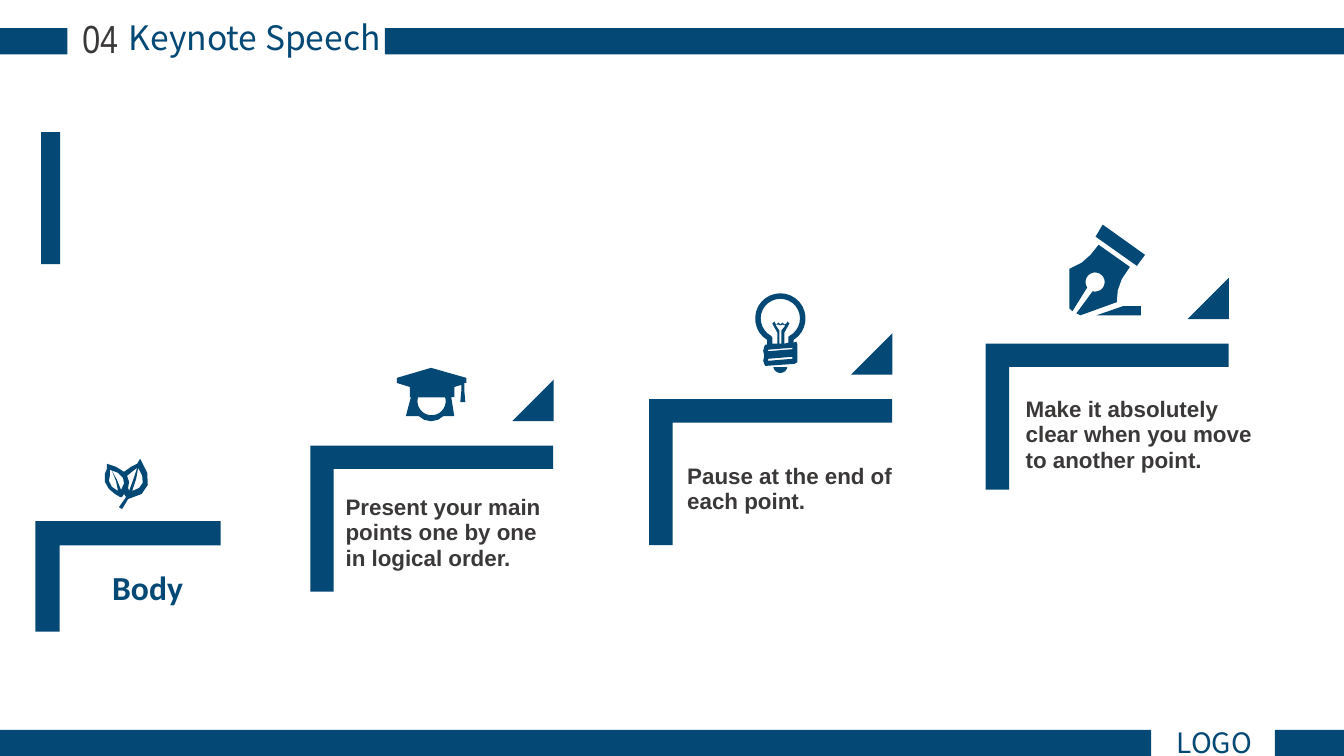
from math import cos, radians, sin

from pptx import Presentation
from pptx.dml.color import RGBColor
from pptx.enum.shapes import MSO_SHAPE
from pptx.enum.text import MSO_AUTO_SIZE, PP_ALIGN
from pptx.util import Cm, Pt

COLORS = {"navy": "044875", "gray": "3B3838", "white": "FFFFFF"}
SLIDE_W, SLIDE_H = 33.87, 19.05
BAR_H = 0.66
SANS = "Noto Sans CJK SC"
UNIT = Cm(2.54) / 1000


def arc(cx, cy, r, start, end, steps=24):
    """Return points along a circle between two angles in degrees."""
    angles = [radians(start + (end - start) * i / steps) for i in range(steps + 1)]
    return [(cx + r * cos(a), cy + r * sin(a)) for a in angles]


LEAF = [
    [(22, 38), (20, 35), (18, 38), (16, 38), (11, 35), (5, 30), (1, 23), (1, 15),
     (3, 10), (3, 5), (12, 8), (20, 13), (27, 8), (33, 5), (36, 0), (43, 14),
     (43.5, 26), (37.4, 35), (24, 40), (18, 50), (15, 48)],
    [(24, 29), (25, 32), (29, 21), (33, 9), (29, 12), (23, 17), (25, 23)],
    [(14, 32), (12, 22), (8, 12), (13, 21), (17, 31), (20, 24.5), (19, 19),
     (14, 14), (6, 11), (6, 16), (5, 22), (8, 28)],
    [(28, 32), (35, 29), (38.5, 24), (38, 17), (34, 9), (32, 20)],
]
GRADUATE = [
    [(14, 29), (9, 48), (22, 48), (27, 51.5), (34, 53), (41, 51.5), (46, 48), (57, 48),
     (54, 29), (57, 29), (57, 19), (64, 17), (64, 23), (63, 34), (68, 34), (67, 23),
     (67, 15), (69, 15), (69, 10), (34, 0), (0, 10), (0, 15), (13, 19), (13, 29)],
    arc(34.5, 33, 14, -15, 195),
]
BULB = [
    arc(25, 25, 25, 122, 418)
    + [(38, 49), (41, 48), (42, 51), (42, 68), (41, 69), (39, 70), (11, 72), (10, 72),
       (9, 70), (8, 67), (9, 62), (8, 57), (9, 53), (10, 51), (12, 51)],
    [(20, 30), (21, 31), (23, 29), (25, 31), (27, 29), (29, 31), (31, 30), (32, 28),
     (34, 30), (29, 39), (29, 50), (33, 49), (33, 43)]
    + arc(25, 25, 19.5, 62, -242)
    + [(17, 44), (17, 50), (22, 50), (22, 39), (17, 30), (19, 28)],
    [(30, 32), (27, 31), (25, 32), (23, 31), (20, 31), (24, 37), (24, 50), (26, 50),
     (26, 37)],
    arc(25, 72, 7, 170, 10),
    [(37, 63), (13, 65), (13, 67), (37, 65)],
    [(37, 54), (13, 56), (13, 57.5), (37, 55.5)],
]
PEN = [
    [(3, 86), (0, 83), (0, 44), (12, 38), (21, 30), (29, 20), (60, 42), (52, 54),
     (48, 65), (47, 77), (11, 90), (7, 88)] + arc(25.5, 57, 9.5, 105, -215),
    [(27, 90), (71, 90), (71, 81), (53, 81)],
    [(67, 41), (75, 30), (33, 0), (26, 12)],
]


def paint(s):
    """Give a shape a flat navy fill without line or shadow."""
    s.shadow.inherit = False
    s.fill.solid()
    s.fill.fore_color.rgb = RGBColor.from_string(COLORS["navy"])
    s.line.fill.background()


def add_block(slide, kind, x, y, w, h):
    """Add a navy preset shape."""
    s = slide.shapes.add_shape(kind, Cm(x), Cm(y), Cm(w), Cm(h))
    paint(s)
    return s


def add_icon(slide, contours, x, y):
    """Draw an icon from contours in hundredths of an inch."""
    outlines = [[(px * 10, py * 10) for px, py in c] for c in contours]
    fb = slide.shapes.build_freeform(*outlines[0][0], scale=UNIT)
    fb.add_line_segments(outlines[0][1:])
    for outline in outlines[1:]:
        fb.move_to(*outline[0])
        fb.add_line_segments(outline[1:])
    paint(fb.convert_to_shape(Cm(x), Cm(y)))


def add_text(slide, text, x, y, w, h, size, font, color="navy", bold=False,
             align=PP_ALIGN.CENTER, spacing=None):
    """Add a text box holding one run."""
    tf = slide.shapes.add_textbox(Cm(x), Cm(y), Cm(w), Cm(h)).text_frame
    tf.word_wrap = True
    tf.auto_size = MSO_AUTO_SIZE.SHAPE_TO_FIT_TEXT
    p = tf.paragraphs[0]
    p.alignment = align
    if spacing:
        p.line_spacing = Pt(spacing)
    r = p.add_run()
    r.text = text
    r.font.size = Pt(size)
    r.font.name = font
    r.font.bold = bold
    r.font.color.rgb = RGBColor.from_string(COLORS[color])


def add_band(slide, y, gap_left, gap_right):
    """Add a full-width bar broken by one gap."""
    add_block(slide, MSO_SHAPE.RECTANGLE, 0, y, gap_left, BAR_H)
    add_block(slide, MSO_SHAPE.RECTANGLE, gap_right, y, SLIDE_W - gap_right, BAR_H)


def add_header(slide, y):
    """Add the top band with section number and title."""
    add_band(slide, y, 1.7, 9.7)
    add_text(slide, "Keynote Speech", 1.85, y - 0.41, 9.14, 1.27, 24, SANS)
    add_text(slide, "04", 1.52, y - 0.48, 2.01, 1.45, 28, "Arial Narrow", "gray")


def add_footer(slide, y):
    """Add the bottom band with its label."""
    add_band(slide, y, 29.01, 32.13)
    add_text(slide, "LOGO", 28.52, y - 0.23, 4.17, 1.12, 20, SANS)


def add_stair(slide, x, y, w, h, thickness, icon, dx, dy):
    """Add a stair corner filling the box, with an icon above it."""
    s = add_block(slide, MSO_SHAPE.CORNER, x + (w - h) / 2, y + (h - w) / 2, h, w)
    s.rotation = 90
    s.adjustments[0] = s.adjustments[1] = thickness
    add_icon(slide, icon, x + dx, y + dy)


def add_start(slide, x, y, w, h):
    """Add the first, smaller stair with the heading."""
    add_stair(slide, x, y, w, h, 0.22, LEAF, 1.73, -1.57)
    add_text(slide, "Body", x + 0.15, y + 1.02, 5.36, 1.27, 24, "Calibri", bold=True)


def add_point(slide, x, y, w, h, icon, icon_at, text, text_box):
    """Add a stair with a triangle and one main point."""
    add_stair(slide, x, y, w, h, 0.16, icon, *icon_at)
    s = add_block(slide, MSO_SHAPE.ISOSCELES_TRIANGLE, x + w - 1.03, y - 1.66, 1.04, 1.04)
    s.adjustments[0] = 1
    tx, ty, tw, th = text_box
    add_text(slide, text, x + tx, y + ty, tw, th, 16, "Arial", "gray", True,
             PP_ALIGN.LEFT, 18)


POINTS = [
    (7.82, 11.23, GRADUATE, (2.18, -1.96),
     "Present your main points one by one in logical order.", (0.64, 1.12, 5.64, 2.18)),
    (16.36, 10.06, BULB, (2.67, -2.67),
     "Pause at the end of each point.", (0.71, 1.5, 5.89, 1.55)),
    (24.84, 8.66, PEN, (2.11, -3),
     "Make it absolutely clear when you move to another point.", (0.76, 1.22, 6.48, 2.18)),
]


def main():
    """Build and save the slide."""
    prs = Presentation()
    prs.slide_width, prs.slide_height = Cm(SLIDE_W), Cm(SLIDE_H)
    slide = prs.slides.add_slide(prs.slide_layouts[6])
    slide.background.fill.solid()
    slide.background.fill.fore_color.rgb = RGBColor.from_string(COLORS["white"])
    add_header(slide, 0.71)
    add_footer(slide, SLIDE_H - BAR_H)
    for x, y, *content in POINTS:
        add_point(slide, x, y, 6.12, 3.68, *content)
    add_start(slide, 0.89, 13.13, 4.67, 2.79)
    add_block(slide, MSO_SHAPE.RECTANGLE, 1.04, 3.33, 0.48, 3.33)
    prs.save("out.pptx")


if __name__ == "__main__":
    main()
